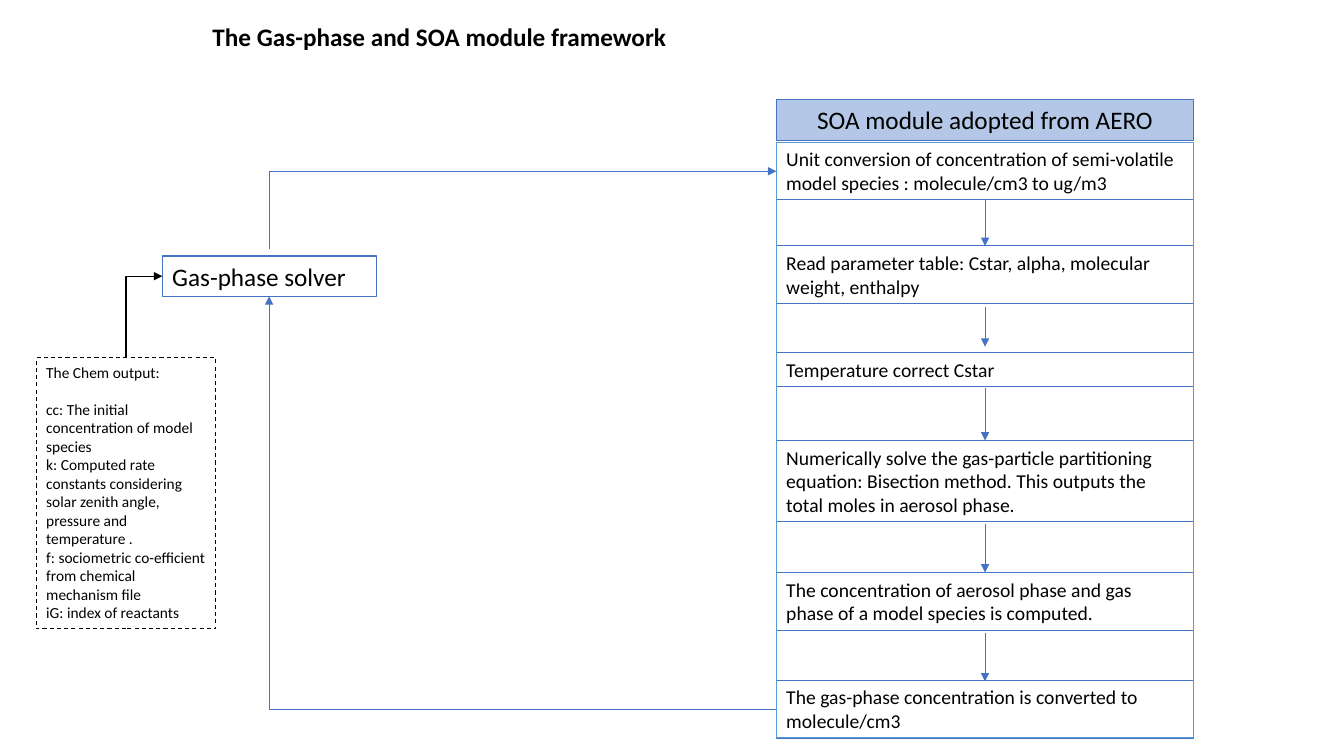
from dataclasses import dataclass

from lxml import etree
from pptx import Presentation
from pptx.dml.color import RGBColor
from pptx.enum.dml import MSO_LINE
from pptx.enum.shapes import MSO_CONNECTOR, MSO_SHAPE
from pptx.enum.text import MSO_ANCHOR, PP_ALIGN
from pptx.oxml.ns import qn
from pptx.util import Inches, Pt

RECTANGLE = MSO_SHAPE.RECTANGLE
STRAIGHT, ELBOW = MSO_CONNECTOR.STRAIGHT, MSO_CONNECTOR.ELBOW
DASH = MSO_LINE.DASH
TOP = MSO_ANCHOR.TOP
LEFT, CENTER = PP_ALIGN.LEFT, PP_ALIGN.CENTER


@dataclass(frozen=True)
class Theme:
    font: str = "Calibri"
    ink: str = "000000"
    blue: str = "4472C4"
    frame: str = "5B9BD5"
    header: str = "B4C7E7"
    heading_size: float = 18
    step_size: float = 14
    note_size: float = 11
    box_line: float = 0.75
    flow_line: float = 0.5


THEME = Theme()

SOA_STEPS = [
    (1.41, 2, "Unit conversion of concentration of semi-volatile model species : molecule/cm3 to ug/m3"),
    (2.44, 2, "Read parameter table: Cstar, alpha, molecular weight, enthalpy"),
    (3.5, 1, "Temperature correct Cstar"),
    (4.37, 3, "Numerically solve the gas-particle partitioning equation: Bisection method. "
              "This outputs the total moles in aerosol phase."),
    (5.68, 2, "The concentration of aerosol phase and gas phase of a model species is computed."),
    (6.75, 2, "The gas-phase concentration is converted to molecule/cm3"),
]
STEP_ARROWS = [(1.98, 2.44), (3.05, 3.44), (3.85, 4.37), (5.2, 5.68), (6.28, 6.76)]
CHEM_OUTPUT = [
    "The Chem output:",
    "cc: The initial concentration of model species",
    "k: Computed rate constants considering solar zenith angle, pressure and temperature .",
    "f: sociometric co-efficient from chemical mechanism file",
    "iG: index of reactants",
]


def write(frame, lines, size, align=LEFT, bold=False):
    frame.word_wrap = True
    frame.vertical_anchor = TOP
    for index, line in enumerate(lines):
        paragraph = frame.paragraphs[0] if index == 0 else frame.add_paragraph()
        paragraph.alignment = align
        run = paragraph.add_run()
        run.text = line
        run.font.name = THEME.font
        run.font.size = Pt(size)
        run.font.bold = bold
        run.font.color.rgb = RGBColor.from_string(THEME.ink)


def add_box(slide, box, line_color, fill=None):
    panel = slide.shapes.add_shape(RECTANGLE, *map(Inches, box))
    panel.shadow.inherit = False
    if fill:
        panel.fill.solid()
        panel.fill.fore_color.rgb = RGBColor.from_string(fill)
    else:
        panel.fill.background()
    panel.line.color.rgb = RGBColor.from_string(line_color)
    panel.line.width = Pt(THEME.box_line)
    return panel


def add_arrow(slide, kind, start, end, color, width):
    arrow = slide.shapes.add_connector(kind, *map(Inches, (*start, *end)))
    arrow.line.color.rgb = RGBColor.from_string(color)
    arrow.line.width = Pt(width)
    properties = arrow._element.spPr
    etree.SubElement(properties.find(qn("a:ln")), qn("a:tailEnd"), type="triangle")
    etree.SubElement(properties, qn("a:effectLst"))
    if kind == ELBOW:
        properties.find(qn("a:prstGeom")).set("prst", "bentConnector2")
    return arrow


def add_up_then_right_arrow(slide, start, end, color, width):
    center_x, center_y = (start[0] + end[0]) / 2, (start[1] + end[1]) / 2
    half_rise, half_run = (start[1] - end[1]) / 2, (end[0] - start[0]) / 2
    arrow = add_arrow(slide, ELBOW, (center_x + half_rise, center_y + half_run),
                      (center_x - half_rise, center_y - half_run), color, width)
    arrow._element.spPr.find(qn("a:xfrm")).set("rot", "5400000")


def add_title(slide, box):
    title = slide.shapes.title
    title.left, title.top, title.width, title.height = map(Inches, box)
    write(title.text_frame, ["The Gas-phase and SOA module framework"],
          THEME.heading_size, CENTER, True)


def add_soa_module(slide, box):
    left, top, width, height = box
    header = add_box(slide, (left, top, width, 0.4), THEME.blue, THEME.header)
    write(header.text_frame, ["SOA module adopted from AERO"], THEME.heading_size, CENTER)
    for step_top, line_count, wording in SOA_STEPS:
        step_height = 0.1 + 0.236 * line_count
        step = add_box(slide, (left, step_top, width, step_height), THEME.blue)
        write(step.text_frame, [wording], THEME.step_size)
    frame_top = SOA_STEPS[0][0]
    add_box(slide, (left, frame_top, width, top + height - frame_top), THEME.frame)
    middle = left + width / 2
    for arrow_top, arrow_bottom in STEP_ARROWS:
        add_arrow(slide, STRAIGHT, (middle, arrow_top), (middle, arrow_bottom),
                  THEME.blue, THEME.flow_line)


def add_gas_solver(slide, box):
    solver = add_box(slide, box, THEME.blue)
    write(solver.text_frame, ["Gas-phase solver"], THEME.heading_size)


def add_chem_output(slide, box):
    note = add_box(slide, box, THEME.ink)
    note.line.dash_style = DASH
    write(note.text_frame, CHEM_OUTPUT, THEME.note_size)
    note.text_frame.paragraphs[1].space_before = Pt(13.4)


def add_exchange_arrows(slide, solver, module, chem):
    solver_middle = solver[0] + solver[2] / 2
    solver_bottom = solver[1] + solver[3]
    add_arrow(slide, ELBOW, (module[0], 7.04), (solver_middle, solver_bottom),
              THEME.blue, THEME.flow_line)
    add_up_then_right_arrow(slide, (solver_middle, solver[1] - 0.07), (module[0], 1.7),
                            THEME.blue, THEME.flow_line)
    add_up_then_right_arrow(slide, (chem[0] + chem[2] / 2, chem[1]),
                            (solver[0], solver[1] + solver[3] / 2),
                            THEME.ink, THEME.box_line)


def main():
    presentation = Presentation()
    presentation.slide_width = Inches(13.33)
    presentation.slide_height = Inches(7.5)
    slide = presentation.slides.add_slide(presentation.slide_layouts[5])
    module_box = (7.7, 0.99, 4.14, 6.33)
    solver_box = (1.61, 2.54, 2.12, 0.4)
    chem_box = (0.36, 3.55, 1.78, 2.69)
    add_title(slide, (0.36, 0.16, 8, 0.4))
    add_soa_module(slide, module_box)
    add_gas_solver(slide, solver_box)
    add_chem_output(slide, chem_box)
    add_exchange_arrows(slide, solver_box, module_box, chem_box)
    presentation.save("out.pptx")


if __name__ == "__main__":
    main()
